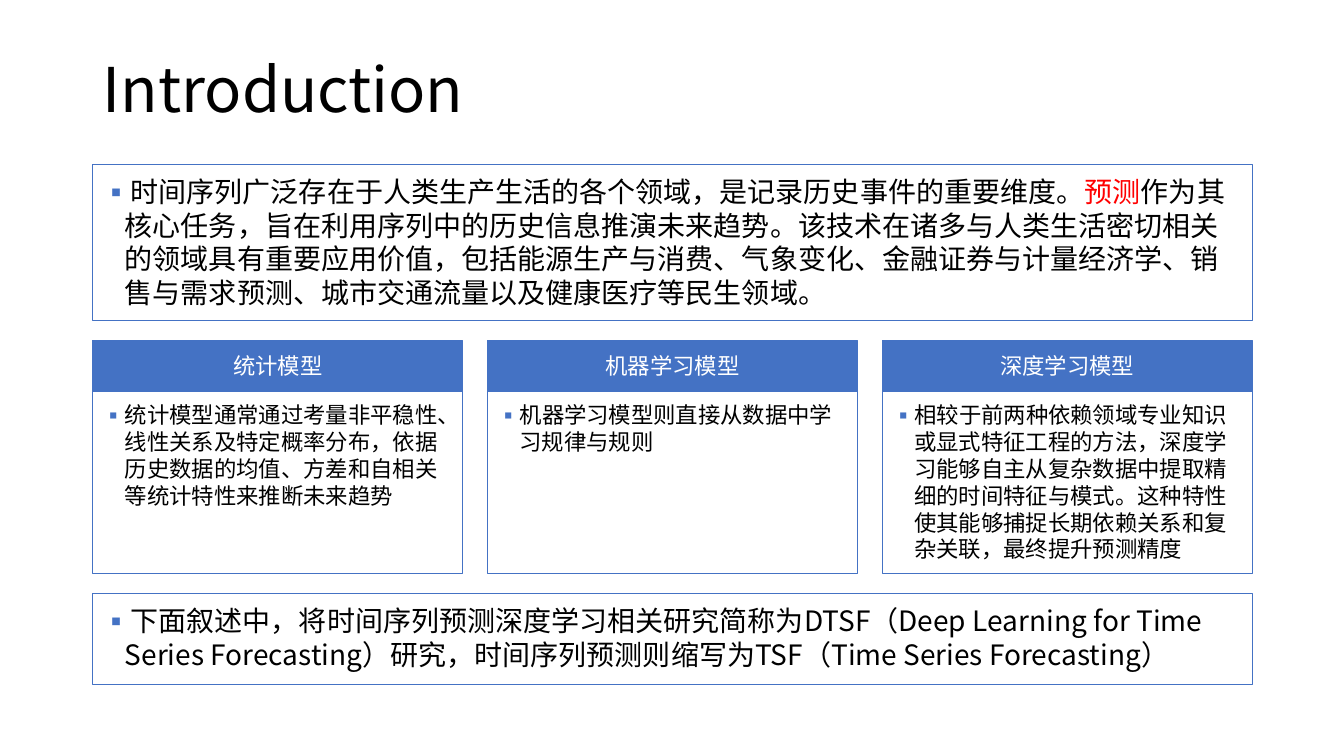
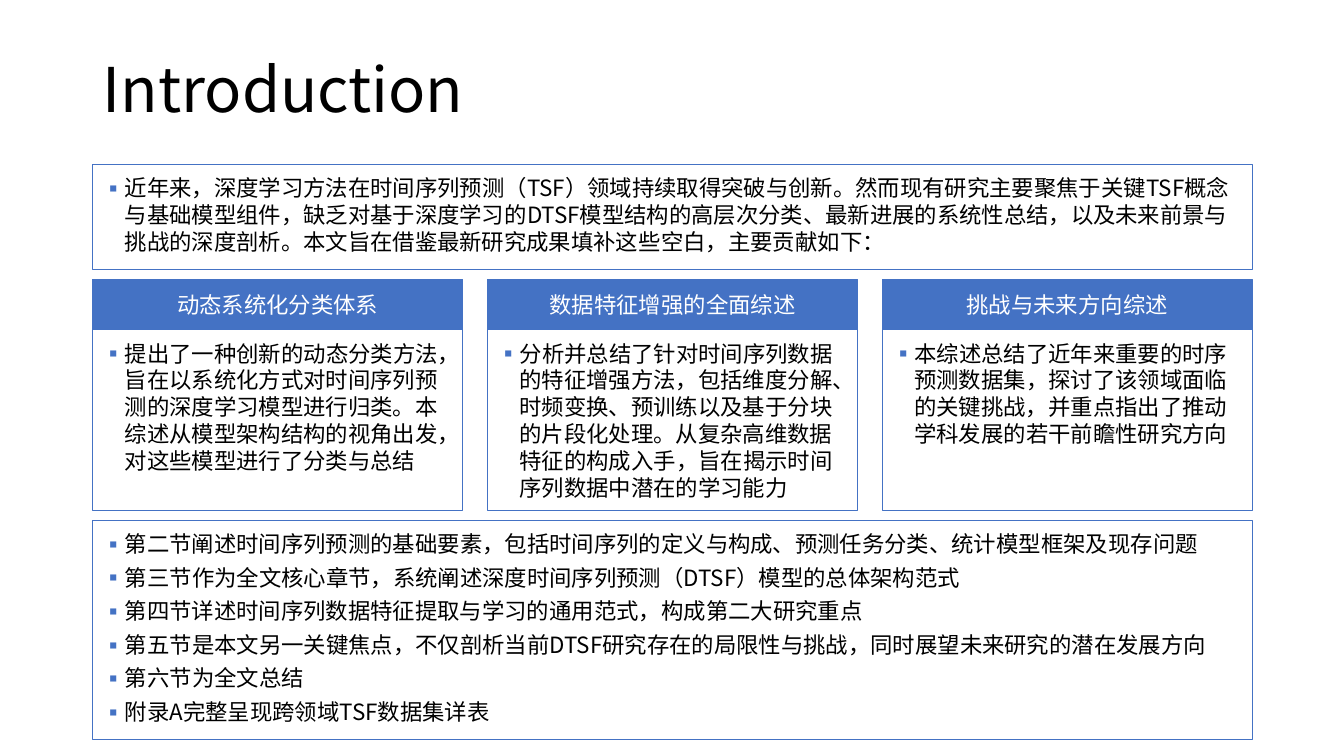
from dataclasses import dataclass

from lxml.etree import SubElement
from pptx import Presentation
from pptx.dml.color import RGBColor as Rgb
from pptx.enum.shapes import MSO_SHAPE as Shape
from pptx.enum.text import MSO_ANCHOR as Anchor, PP_ALIGN as Align
from pptx.oxml.ns import qn
from pptx.util import Inches, Pt

# Content: a paragraph is a list of (text, colour role) pieces
SLIDES = [
    dict(
        title="Introduction", gap=0.2,
        opening=dict(height=1.55, size="large", paragraphs=[[
            ("时间序列广泛存在于人类生产生活的各个领域，是记录历史事件的重要维度。", "ink"),
            ("预测", "emphasis"),
            ("作为其核心任务，旨在利用序列中的历史信息推演未来趋势。该技术在诸多与人类生活密切相关的领域"
             "具有重要应用价值，包括能源生产与消费、气象变化、金融证券与计量经济学、销售与需求预测、"
             "城市交通流量以及健康医疗等民生领域。", "ink"),
        ]]),
        card_height=1.81,
        cards=[
            ("统计模型",
             "统计模型通常通过考量非平稳性、线性关系及特定概率分布，依据历史数据的均值、方差和自相关等"
             "统计特性来推断未来趋势"),
            ("机器学习模型", "机器学习模型则直接从数据中学习规律与规则"),
            ("深度学习模型",
             "相较于前两种依赖领域专业知识或显式特征工程的方法，深度学习能够自主从复杂数据中提取精细的"
             "时间特征与模式。这种特性使其能够捕捉长期依赖关系和复杂关联，最终提升预测精度"),
        ],
        closing=dict(height=0.9, size="large", paragraphs=[[
            ("下面叙述中，将时间序列预测深度学习相关研究简称为DTSF（Deep Learning for Time Series "
             "Forecasting）研究，时间序列预测则缩写为TSF（Time Series Forecasting）", "ink"),
        ]]),
    ),
    dict(
        title="Introduction", gap=0.1,
        opening=dict(height=1.04, size="normal", paragraphs=[[
            ("近年来，深度学习方法在时间序列预测（TSF）领域持续取得突破与创新。然而现有研究主要聚焦于"
             "关键TSF概念与基础模型组件，缺乏对基于深度学习的DTSF模型结构的高层次分类、最新进展的"
             "系统性总结，以及未来前景与挑战的深度剖析。本文旨在借鉴最新研究成果填补这些空白，"
             "主要贡献如下：", "ink"),
        ]]),
        card_height=1.79,
        cards=[
            ("动态系统化分类体系",
             "提出了一种创新的动态分类方法，旨在以系统化方式对时间序列预测的深度学习模型进行归类。"
             "本综述从模型架构结构的视角出发，对这些模型进行了分类与总结"),
            ("数据特征增强的全面综述",
             "分析并总结了针对时间序列数据的特征增强方法，包括维度分解、时频变换、预训练以及基于分块的"
             "片段化处理。从复杂高维数据特征的构成入手，旨在揭示时间序列数据中潜在的学习能力"),
            ("挑战与未来方向综述",
             "本综述总结了近年来重要的时序预测数据集，探讨了该领域面临的关键挑战，并重点指出了推动"
             "学科发展的若干前瞻性研究方向"),
        ],
        closing=dict(height=2.18, size="normal", paragraphs=[[(section, "ink")] for section in (
            "第二节阐述时间序列预测的基础要素，包括时间序列的定义与构成、预测任务分类、统计模型框架及现存问题",
            "第三节作为全文核心章节，系统阐述深度时间序列预测（DTSF）模型的总体架构范式",
            "第四节详述时间序列数据特征提取与学习的通用范式，构成第二大研究重点",
            "第五节是本文另一关键焦点，不仅剖析当前DTSF研究存在的局限性与挑战，同时展望未来研究的潜在发展方向",
            "第六节为全文总结",
            "附录A完整呈现跨领域TSF数据集详表",
        )]),
    ),
]


@dataclass(frozen=True)
class Theme:
    font: str = "Noto Sans CJK SC"
    ink: str = "000000"
    paper: str = "FFFFFF"
    accent: str = "4472C4"
    emphasis: str = "FF0000"
    title: int = 44
    large: int = 20
    normal: int = 16
    outline: float = 0.75
    leading: float = 1.2
    paragraph_gap: float = 0.3


THEME = Theme()

# Grid, in inches
WIDTH, HEIGHT = 13.33, 7.5
LEFT, CONTENT_WIDTH = 0.92, 11.5
TITLE_TOP, TITLE_HEIGHT = 0.19, 1.45
CONTENT_TOP = 1.63
CARD_WIDTH, HEADER_HEIGHT = 3.67, 0.5
INDENT = 0.22


def style(run, size, colour):
    run.font.name = THEME.font
    run.font.size = Pt(size)
    run.font.color.rgb = Rgb.from_string(colour)
    properties = run.font._element
    properties.set("lang", "zh-CN")
    SubElement(properties, qn("a:ea")).set("typeface", THEME.font)


def set_insets(frame, vertical):
    frame.word_wrap = True
    frame.margin_left = frame.margin_right = Inches(0.1)
    frame.margin_top = frame.margin_bottom = Inches(vertical)


def add_bullet(paragraph):
    properties = paragraph._p.get_or_add_pPr()
    properties.set("marL", str(Inches(INDENT)))
    properties.set("indent", str(-Inches(INDENT)))
    colour = SubElement(properties, qn("a:buClr"))
    SubElement(colour, qn("a:srgbClr")).set("val", THEME.accent)
    SubElement(properties, qn("a:buFont")).set("typeface", THEME.font)
    SubElement(properties, qn("a:buChar")).set("char", "▪")


def add_panel(slide, left, top, width, height, fill):
    panel = slide.shapes.add_shape(
        Shape.RECTANGLE, Inches(left), Inches(top), Inches(width), Inches(height))
    panel.shadow.inherit = False
    panel.fill.solid()
    panel.fill.fore_color.rgb = Rgb.from_string(fill)
    panel.line.color.rgb = Rgb.from_string(THEME.accent)
    panel.line.width = Pt(THEME.outline)
    return panel.text_frame


def add_title(slide, title):
    frame = slide.shapes.add_textbox(
        Inches(LEFT), Inches(TITLE_TOP), Inches(CONTENT_WIDTH), Inches(TITLE_HEIGHT)).text_frame
    set_insets(frame, 0.05)
    frame.vertical_anchor = Anchor.MIDDLE
    frame.text = title
    frame.paragraphs[0].line_spacing = 0.9
    style(frame.paragraphs[0].runs[0], THEME.title, THEME.ink)


def add_header(slide, left, top, heading):
    frame = add_panel(slide, left, top, CARD_WIDTH, HEADER_HEIGHT, THEME.accent)
    set_insets(frame, 0.05)
    frame.vertical_anchor = Anchor.MIDDLE
    frame.text = heading
    frame.paragraphs[0].alignment = Align.CENTER
    style(frame.paragraphs[0].runs[0], THEME.normal, THEME.paper)


def add_bullets(slide, left, top, width, height, paragraphs, size):
    frame = add_panel(slide, left, top, width, height, THEME.paper)
    set_insets(frame, 0.1)
    frame.vertical_anchor = Anchor.TOP
    for index, pieces in enumerate(paragraphs):
        paragraph = frame.add_paragraph() if index else frame.paragraphs[0]
        add_bullet(paragraph)
        paragraph.alignment = Align.LEFT
        paragraph.line_spacing = Pt(size * THEME.leading)
        if index:
            paragraph.space_before = Pt(size * THEME.paragraph_gap)
        for text, role in pieces:
            run = paragraph.add_run()
            run.text = text
            style(run, size, getattr(THEME, role))


def add_band(slide, top, band):
    """Full-width bullet box; returns its bottom edge."""
    add_bullets(slide, LEFT, top, CONTENT_WIDTH, band["height"],
                band["paragraphs"], getattr(THEME, band["size"]))
    return top + band["height"]


def add_cards(slide, top, height, cards):
    """Row of headed boxes with equal gaps; returns its bottom edge."""
    pitch = (CONTENT_WIDTH - CARD_WIDTH) / (len(cards) - 1)
    body_top = top + HEADER_HEIGHT
    for column, (heading, body) in enumerate(cards):
        left = LEFT + column * pitch
        add_bullets(slide, left, body_top, CARD_WIDTH, height, [[(body, "ink")]], THEME.normal)
        add_header(slide, left, top, heading)
    return body_top + height


def main():
    deck = Presentation()
    deck.slide_width, deck.slide_height = Inches(WIDTH), Inches(HEIGHT)
    for content in SLIDES:
        slide = deck.slides.add_slide(deck.slide_layouts[6])
        add_title(slide, content["title"])
        # Opening band, cards and closing band stack downwards
        bottom = add_band(slide, CONTENT_TOP, content["opening"])
        bottom = add_cards(slide, bottom + content["gap"], content["card_height"], content["cards"])
        add_band(slide, bottom + content["gap"], content["closing"])
    deck.save("out.pptx")


if __name__ == "__main__":
    main()
